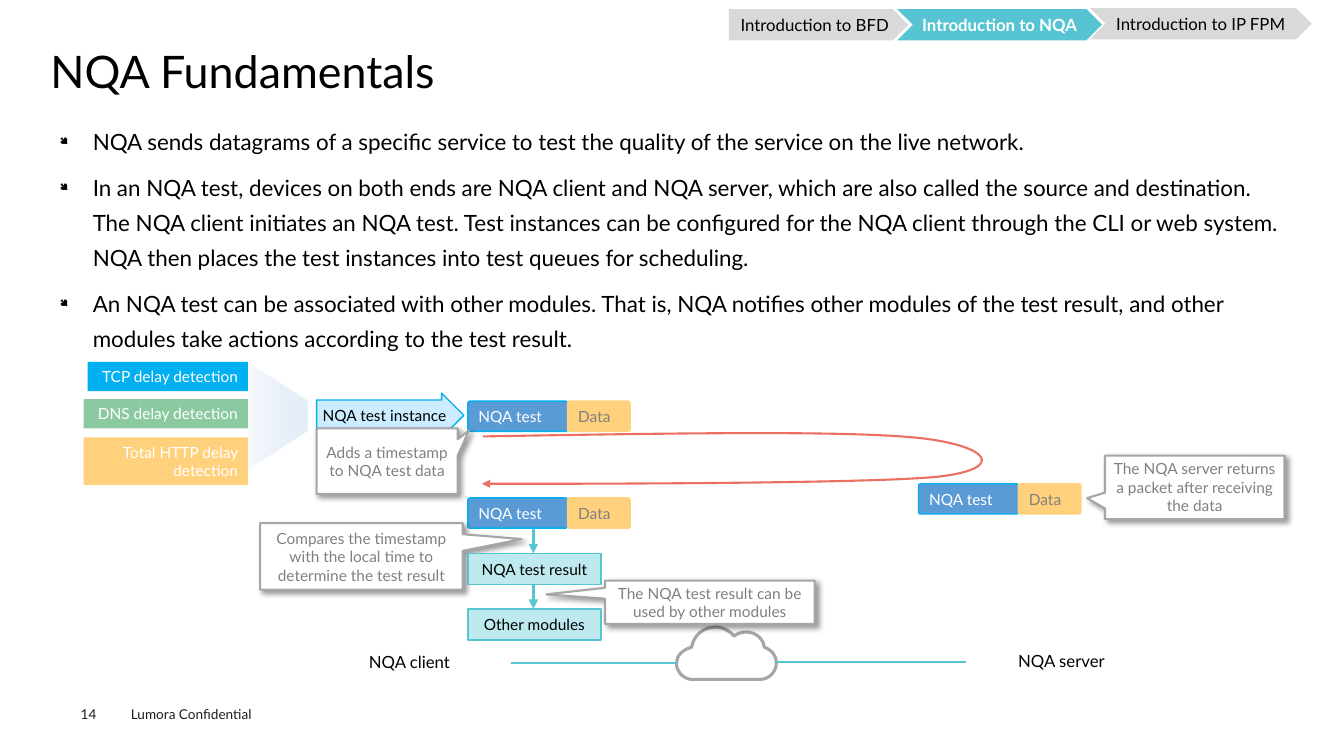
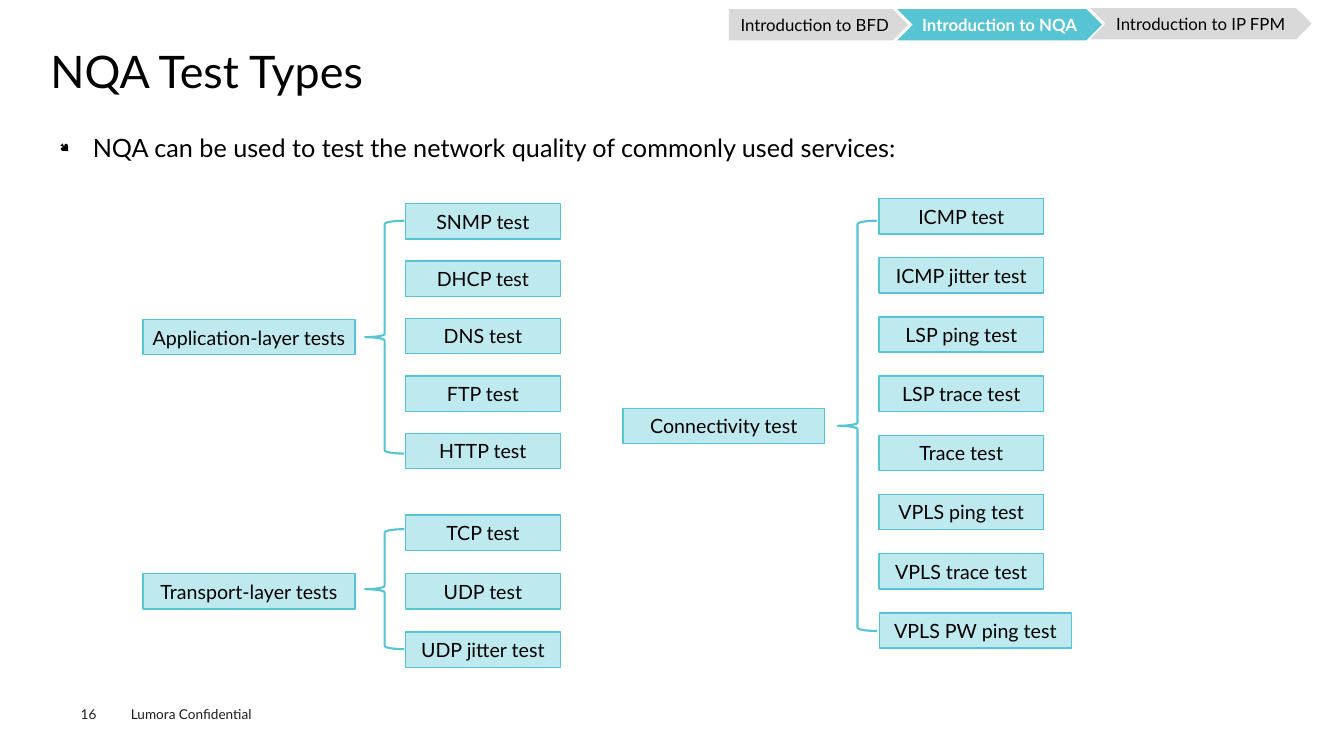
from lxml import etree
from pptx import Presentation
from pptx import util as u
from pptx.dml.color import RGBColor
from pptx.enum import shapes, text
from pptx.oxml import ns

Inches, Pt = u.Inches, u.Pt
SHAPE, ALIGN, ANCHOR = shapes.MSO_SHAPE, text.PP_ALIGN, text.MSO_ANCHOR

FONT = "Lato"
BLACK = RGBColor(0x00, 0x00, 0x00)
WHITE = RGBColor(0xFF, 0xFF, 0xFF)
FOOTER_INK = RGBColor(0x1D, 0x1D, 0x1B)
GREY_TEXT = RGBColor(0x80, 0x80, 0x80)
GREY_LINE = RGBColor(0xA6, 0xA6, 0xA6)
GREY_TAB = RGBColor(0xD9, 0xD9, 0xD9)
TEAL = RGBColor(0x56, 0xC4, 0xD2)
PALE_TEAL = RGBColor(0xBE, 0xE9, 0xEE)
SKY = RGBColor(0x00, 0xB0, 0xF0)
PALE_SKY = RGBColor(0xCC, 0xEC, 0xFF)
BLUE = RGBColor(0x5B, 0x9B, 0xD5)
GREEN = RGBColor(0x8B, 0xC9, 0xA0)
AMBER = RGBColor(0xFF, 0xD1, 0x7D)
CORAL = RGBColor(0xEC, 0x70, 0x61)
FUNNEL_START = RGBColor(0xF7, 0xFA, 0xFD)
FUNNEL_END = RGBColor(0xCE, 0xE1, 0xF2)

MARGINS = (0.1, 0.05, 0.1, 0.05)
SNUG = (0.08, 0.05, 0.08, 0.05)
TIGHT = (0.04, 0.05, 0.04, 0.05)
FLUSH = (0, 0, 0, 0)

# Section tabs: text, preset, box
TABS = [
    ("Introduction to BFD", SHAPE.PENTAGON, (7.23, 0.09, 1.78, 0.31)),
    ("Introduction to NQA", SHAPE.CHEVRON, (8.9, 0.09, 2.03, 0.31)),
    ("Introduction to IP FPM", SHAPE.CHEVRON, (10.81, 0.08, 2.2, 0.31)),
]
CURRENT_TAB = "Introduction to NQA"

FUNDAMENTALS = [
    "NQA sends datagrams of a specific service to test the quality of the "
    "service on the live network.",
    "In an NQA test, devices on both ends are NQA client and NQA server, which "
    "are also called the source and destination. The NQA client initiates an "
    "NQA test. Test instances can be configured for the NQA client through the "
    "CLI or web system. NQA then places the test instances into test queues "
    "for scheduling.",
    "An NQA test can be associated with other modules. That is, NQA notifies "
    "other modules of the test result, and other modules take actions "
    "according to the test result.",
]

# Bezier outlines: a start, then two control points and an end per segment
CLOUD = [
    (7.1, 6.22),
    (7.16, 6.22), (7.23, 6.25), (7.28, 6.31),
    (7.32, 6.28), (7.36, 6.27), (7.4, 6.27),
    (7.49, 6.27), (7.57, 6.33), (7.58, 6.42),
    (7.66, 6.45), (7.7, 6.51), (7.7, 6.57),
    (7.7, 6.66), (7.64, 6.73), (7.55, 6.74),
    (7.3, 6.74), (7.1, 6.74), (6.85, 6.74),
    (6.76, 6.72), (6.71, 6.66), (6.71, 6.58),
    (6.71, 6.51), (6.76, 6.45), (6.86, 6.42),
    (6.88, 6.3), (6.98, 6.22), (7.1, 6.22),
]
LOOP = [
    (4.79, 4.33),
    (6.55, 4.3), (8.31, 4.27), (9.06, 4.34),
    (9.81, 4.41), (10.01, 4.65), (9.3, 4.73),
    (8.59, 4.8), (5.57, 4.8), (4.78, 4.8),
]


def add_xml(parent, tag, **attributes):
    return etree.SubElement(parent, ns.qn(tag), attributes)


def style_paragraph(paragraph, size, color, align=ALIGN.LEFT, bold=False):
    paragraph.alignment = align
    font = paragraph.font
    font.name, font.size, font.bold = FONT, Pt(size), bold
    font.color.rgb = color


def set_frame(frame, margins=MARGINS, anchor=ANCHOR.MIDDLE):
    frame.word_wrap = True
    frame.vertical_anchor = anchor
    (frame.margin_left, frame.margin_top,
     frame.margin_right, frame.margin_bottom) = map(Inches, margins)


def paint(shape, fill=None, line=None, width=1):
    shape.shadow.inherit = False
    if fill is None:
        shape.fill.background()
    else:
        shape.fill.solid()
        shape.fill.fore_color.rgb = fill
    if line is None:
        shape.line.fill.background()
    else:
        shape.line.color.rgb = line
        shape.line.width = Pt(width)


def add_box(slide, box, words="", fill=None, line=None, width=1, size=11,
            color=BLACK, align=ALIGN.CENTER, bold=False, margins=MARGINS,
            preset=SHAPE.RECTANGLE, adjust=()):
    shape = slide.shapes.add_shape(preset, *map(Inches, box))
    paint(shape, fill, line, width)
    for i, value in enumerate(adjust):
        shape.adjustments[i] = value
    if words:
        set_frame(shape.text_frame, margins)
        shape.text_frame.text = words
        style_paragraph(shape.text_frame.paragraphs[0], size, color, align, bold)
    return shape


def add_teal_box(slide, box, words, size=11, margins=MARGINS):
    add_box(slide, box, words, PALE_TEAL, TEAL, size=size, margins=margins)


def add_label(slide, box, words, size, color=BLACK, margins=MARGINS):
    label = slide.shapes.add_textbox(*map(Inches, box))
    set_frame(label.text_frame, margins, ANCHOR.TOP)
    label.text_frame.text = words
    style_paragraph(label.text_frame.paragraphs[0], size, color)


def add_callout(slide, box, words, tip):
    callout = add_box(slide, box, words, WHITE, GREY_LINE, 1.5, color=GREY_TEXT,
                      margins=SNUG, preset=SHAPE.RECTANGULAR_CALLOUT, adjust=tip)
    effects = callout.element.spPr.find(ns.qn("a:effectLst"))
    shadow = add_xml(effects, "a:outerShdw", blurRad=str(Pt(4)), dist=str(Pt(3)),
                     dir="2700000", algn="tl", rotWithShape="0")
    add_xml(add_xml(shadow, "a:srgbClr", val="000000"), "a:alpha", val="40000")


def add_arrowhead(shape):
    add_xml(shape.line._get_or_add_ln(), "a:tailEnd", type="triangle")


def add_line(slide, start, end, width=1.5, arrow=False):
    line = slide.shapes.add_connector(
        shapes.MSO_CONNECTOR.STRAIGHT, *map(Inches, start + end))
    line.line.color.rgb = TEAL
    line.line.width = Pt(width)
    if arrow:
        add_arrowhead(line)
    add_xml(line.element.spPr, "a:effectLst")


def add_curve(slide, points, width, close=False):
    """Build a freeform, then turn each three points into a Bezier segment."""
    start, *rest = [tuple(map(Inches, point)) for point in points]
    builder = slide.shapes.build_freeform(*start)
    builder.add_line_segments(rest, close=close)
    curve = builder.convert_to_shape()
    outline = curve.element.spPr.find(".//" + ns.qn("a:path"))
    lines = outline.findall(ns.qn("a:lnTo"))
    for i in range(0, len(rest), 3):
        segment = etree.Element(ns.qn("a:cubicBezTo"))
        lines[i].addprevious(segment)
        for line in lines[i:i + 3]:
            segment.append(line[0])
            outline.remove(line)
    # The drawn curve can be narrower than its control points
    curve.width = Inches(width)
    outline.set("w", str(curve.width))
    return curve


def add_bullets(slide, items, size, spacing):
    body = slide.shapes.add_textbox(*map(Inches, (0.5, 1.15, 12.35, 5.33)))
    frame = body.text_frame
    set_frame(frame, (0.09, 0.04, 0.09, 0.04), ANCHOR.TOP)
    for i, item in enumerate(items):
        paragraph = frame.paragraphs[0] if i == 0 else frame.add_paragraph()
        paragraph.text = item
        paragraph.line_spacing = spacing
        paragraph.space_before = Pt(7.9)
        props = paragraph._p.get_or_add_pPr()
        props.set("marL", str(Inches(0.33)))
        props.set("indent", str(Inches(-0.33)))
        add_xml(props, "a:buSzPct", val="50000")
        add_xml(props, "a:buFont", typeface="Wingdings", charset="2")
        add_xml(props, "a:buChar", char="●")
        style_paragraph(paragraph, size, BLACK)


def add_slide(deck, title, number):
    """Start a slide with its title, section tabs and footer."""
    slide = deck.slides.add_slide(deck.slide_layouts[5])
    heading = slide.shapes.title
    heading.left, heading.top, heading.width, heading.height = map(
        Inches, (0.5, 0.49, 12.35, 0.54))
    set_frame(heading.text_frame, FLUSH, ANCHOR.TOP)
    heading.text_frame.text = title
    paragraph = heading.text_frame.paragraphs[0]
    paragraph.line_spacing = 0.9
    style_paragraph(paragraph, 32, BLACK)
    for words, preset, box in TABS:
        current = words == CURRENT_TAB
        add_box(slide, box, words, TEAL if current else GREY_TAB, size=12,
                color=WHITE if current else BLACK, bold=current,
                margins=FLUSH, preset=preset)
    add_label(slide, (1.2, 6.95, 1.6, 0.27), "Lumora Confidential", 9.7, FOOTER_INK)
    add_label(slide, (0.8, 7, 0.55, 0.16), str(number), 9.7, FOOTER_INK, FLUSH)
    return slide


def add_packet(slide, left, top):
    for x, width, words, fill, line, color in (
            (left, 0.99, "NQA test", BLUE, SKY, WHITE),
            (left + 0.99, 0.62, "Data", AMBER, AMBER, GREY_TEXT)):
        add_box(slide, (x, top, width, 0.3), words, fill, line, color=color,
                align=ALIGN.LEFT, preset=SHAPE.ROUNDED_RECTANGLE, adjust=(0.07,))


def add_funnel(slide):
    funnel = add_box(slide, (2.23, 3.83, 1.05, 0.58),
                     preset=SHAPE.TRAPEZOID, adjust=(0.65,))
    funnel.rotation = 90
    funnel.fill.gradient()
    funnel.fill.gradient_angle = 90
    start, end = funnel.fill.gradient_stops
    start.color.rgb, end.color.rgb = FUNNEL_START, FUNNEL_END
    end_color = funnel.element.spPr.findall(".//" + ns.qn("a:srgbClr"))[-1]
    add_xml(end_color, "a:alpha", val="50000")


def add_test_family(slide, name, name_box, brace, tests, left,
                    first, last, width, last_width=None):
    """Join a family name by a brace to its evenly spaced tests."""
    height = 0.35
    add_teal_box(slide, name_box + (height,), name, 14, TIGHT)
    pitch = (last - first) / (len(tests) - 1)
    widths = [width] * (len(tests) - 1) + [last_width or width]
    for i, (test, test_width) in enumerate(zip(tests, widths)):
        add_teal_box(slide, (left, first + i * pitch, test_width, height), test, 14)
    add_box(slide, brace, line=TEAL, width=1.5, preset=SHAPE.LEFT_BRACE)


def build_fundamentals(deck):
    slide = add_slide(deck, "NQA Fundamentals", 14)
    add_bullets(slide, FUNDAMENTALS, 16, 1.3)

    # Network between client and server
    cloud = add_curve(slide, CLOUD, 0.99, close=True)
    paint(cloud, WHITE, GREY_LINE, 2.25)
    add_line(slide, (5.07, 6.58), (6.71, 6.58))
    add_line(slide, (9.58, 6.57), (7.7, 6.57))
    add_label(slide, (3.56, 6.42, 1.04, 0.3), "NQA client", 12)
    add_label(slide, (10, 6.41, 1.08, 0.3), "NQA server", 12)

    # Detections feeding the test instance
    for box, words, fill in (
            ((0.87, 3.59, 1.59, 0.29), "TCP delay detection", SKY),
            ((0.83, 3.96, 1.63, 0.29), "DNS delay detection", GREEN),
            ((0.83, 4.34, 1.63, 0.47), "Total HTTP delay detection", AMBER)):
        add_box(slide, box, words, fill, color=WHITE, align=ALIGN.RIGHT,
                margins=(0.04, 0.05, 0.1, 0.05))
    add_box(slide, (3.14, 3.9, 1.46, 0.44), "NQA test instance", PALE_SKY, SKY,
            margins=(0.04, 0.05, 0, 0.05), preset=SHAPE.RIGHT_ARROW,
            adjust=(0.69, 0.5))
    add_funnel(slide)

    # Round trip of the test packet
    loop = add_curve(slide, LOOP, 4.96)
    paint(loop, line=CORAL, width=1.5)
    add_arrowhead(loop)
    for left, top in ((4.64, 3.98), (9.11, 4.8), (4.64, 4.94)):
        add_packet(slide, left, top)
    add_callout(slide, (3.14, 4.25, 1.4, 0.65),
                "Adds a timestamp to NQA test data", (0.58, -0.47))
    add_callout(slide, (10.96, 4.52, 1.78, 0.63),
                "The NQA server returns a packet after receiving the data",
                (-0.6, 0.17))
    add_callout(slide, (2.58, 5.19, 2.01, 0.66),
                "Compares the timestamp with the local time to determine the "
                "test result", (0.79, -0.26))

    # Use of the result
    for top, words in ((5.49, "NQA test result"), (6.04, "Other modules")):
        add_teal_box(slide, (4.64, top, 1.32, 0.31), words)
        add_line(slide, (5.29, top - 0.24), (5.29, top), 2.25, arrow=True)
    add_callout(slide, (6, 5.76, 2.08, 0.43),
                "The NQA test result can be used by other modules", (-0.78, -0.18))


def build_test_types(deck):
    slide = add_slide(deck, "NQA Test Types", 16)
    add_bullets(slide, ["NQA can be used to test the network quality of "
                        "commonly used services:"], 18, 1.4)
    add_test_family(
        slide, "Application-layer tests", (1.42, 3.17, 2.1), (3.62, 2.19, 0.39, 2.31),
        ["SNMP test", "DHCP test", "DNS test", "FTP test", "HTTP test"],
        4.02, 2.02, 4.3, 1.54)
    add_test_family(
        slide, "Transport-layer tests", (1.42, 5.69, 2.1), (3.62, 5.25, 0.39, 1.19),
        ["TCP test", "UDP test", "UDP jitter test"], 4.02, 5.11, 6.27, 1.54)
    add_test_family(
        slide, "Connectivity test", (6.18, 4.05, 2), (8.31, 2.19, 0.39, 4.07),
        ["ICMP test", "ICMP jitter test", "LSP ping test", "LSP trace test",
         "Trace test", "VPLS ping test", "VPLS trace test", "VPLS PW ping test"],
        8.72, 1.97, 6.08, 1.63, 1.91)


def main():
    deck = Presentation()
    deck.slide_width, deck.slide_height = Inches(13.33), Inches(7.5)
    build_fundamentals(deck)
    build_test_types(deck)
    deck.save("out.pptx")


if __name__ == "__main__":
    main()
